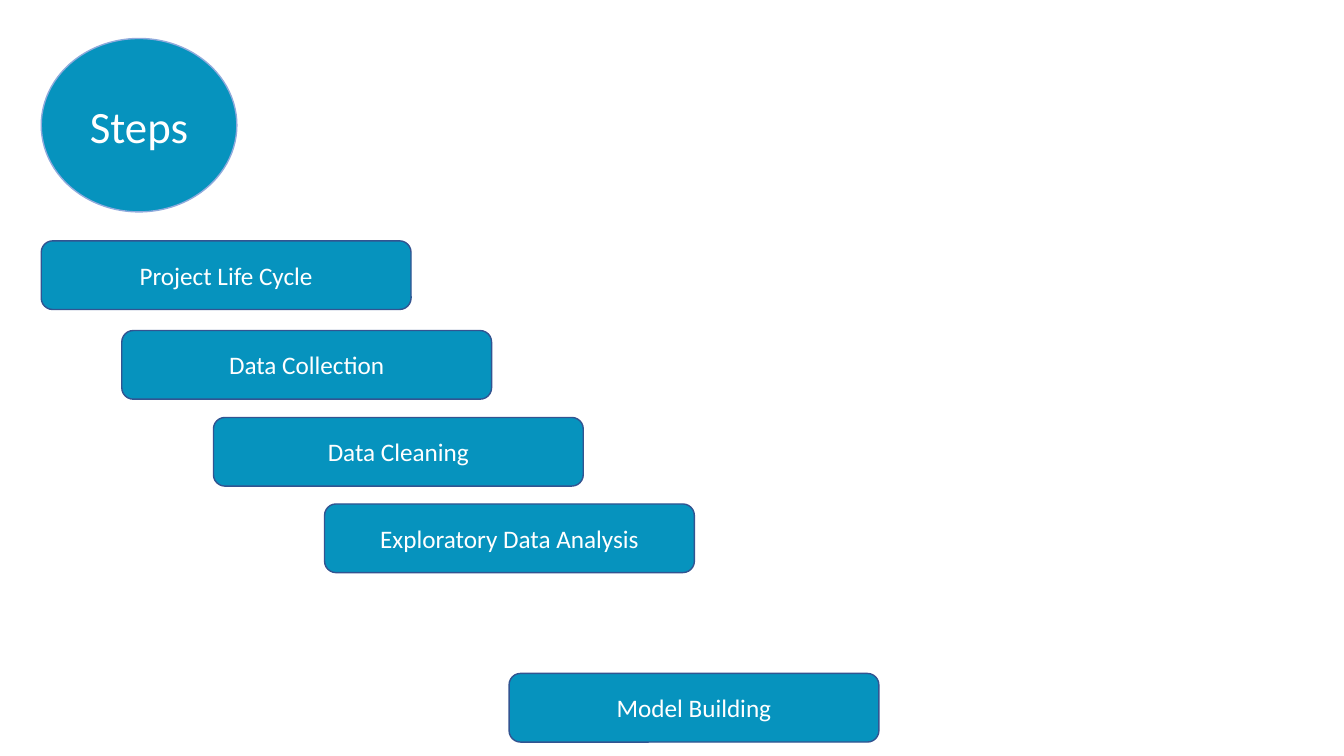
import pptx
import pptx.util
import pptx.dml.color
import pptx.enum.shapes
import pptx.enum.text

Cm = pptx.util.Cm
Pt = pptx.util.Pt
RGBColor = pptx.dml.color.RGBColor
Shape = pptx.enum.shapes.MSO_SHAPE

TEAL = RGBColor(0x06, 0x93, 0xBE)
NAVY = RGBColor(0x32, 0x54, 0x91)
PALE_BLUE = RGBColor(0x8F, 0xAA, 0xDC)
WHITE = RGBColor(0xFF, 0xFF, 0xFF)

STEP_WIDTH, STEP_HEIGHT = 9.32, 1.73
STEPS = [
    ("Project Life Cycle", 1.04, 6.07),
    ("Data Collection", 3.07, 8.33),
    ("Data Cleaning", 5.38, 10.52),
    ("Exploratory Data Analysis", 8.18, 12.7),
    ("Model Building", 12.83, 16.97),
]


def add_filled_shape(page, kind, left, top, width, height, outline):
    shape = page.shapes.add_shape(kind, Cm(left), Cm(top), Cm(width), Cm(height))
    shape.shadow.inherit = False
    shape.fill.solid()
    shape.fill.fore_color.rgb = TEAL
    shape.line.color.rgb = outline
    shape.line.width = Pt(1)
    return shape


def set_centred_text(shape, text, size):
    frame = shape.text_frame
    frame.word_wrap = True
    frame.vertical_anchor = pptx.enum.text.MSO_ANCHOR.MIDDLE
    frame.text = text
    para = frame.paragraphs[0]
    para.alignment = pptx.enum.text.PP_ALIGN.CENTER
    font = para.runs[0].font
    font.name = "Calibri"
    font.size = Pt(size)
    font.color.rgb = WHITE


def add_step(page, text, left, top):
    box = add_filled_shape(page, Shape.ROUNDED_RECTANGLE, left, top,
                           STEP_WIDTH, STEP_HEIGHT, NAVY)
    set_centred_text(box, text, 18)


def add_title(page):
    """Draw the title circle with its label across the middle."""
    add_filled_shape(page, Shape.OVAL, 1.04, 0.97, 4.93, 4.37, PALE_BLUE)
    label = page.shapes.add_textbox(Cm(1.04), Cm(2.34), Cm(4.93), Cm(1.63))
    set_centred_text(label, "Steps", 32)


def main():
    deck = pptx.Presentation()
    deck.slide_width = Cm(33.87)
    deck.slide_height = Cm(19.05)
    page = deck.slides.add_slide(deck.slide_layouts[6])
    add_title(page)
    for text, left, top in STEPS:
        add_step(page, text, left, top)
    deck.save("out.pptx")


if __name__ == "__main__":
    main()
